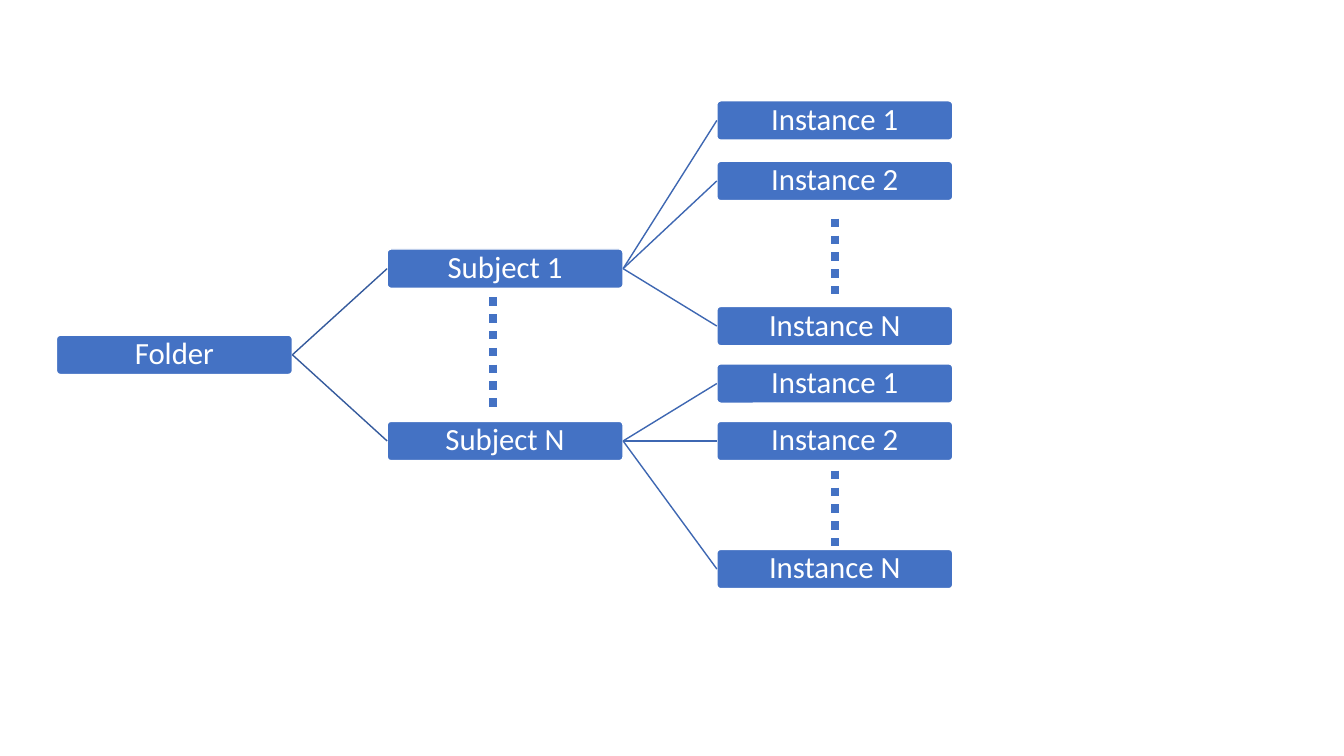
from dataclasses import dataclass

from lxml import etree
from pptx import Presentation
from pptx import util as u
from pptx.dml.color import RGBColor
from pptx.enum import dml, shapes, text
from pptx.oxml import ns


@dataclass(frozen=True)
class Theme:
    """Colours, type and line sizes of the deck."""
    fill: RGBColor = RGBColor(0x44, 0x72, 0xC4)
    paper: RGBColor = RGBColor(0xFF, 0xFF, 0xFF)
    folder_link: RGBColor = RGBColor(0x36, 0x5B, 0x9D)
    subject_link: RGBColor = RGBColor(0x3E, 0x67, 0xB2)
    font: str = "Calibri"
    size: u.Pt = u.Pt(22)
    thin: u.Pt = u.Pt(1)
    dots: u.Pt = u.Pt(6)


THEME = Theme()
NODE_WIDTH, NODE_HEIGHT = 2.34, 0.39
SUBJECT_LEFT, INSTANCE_LEFT = 3.28, 6.55
RIGHT_SITE, LEFT_SITE = 3, 1
SUBJECTS = [
    ("Subject 1", 1.47, (0, 0.6, 2.04)),
    ("Subject N", 3.18, (2.61, 3.18, 4.45)),
]
INSTANCES = ("Instance 1", "Instance 2", "Instance N")
ELLIPSES = [(4.33, 1.95, 3.08), (7.72, 1.17, 1.95), (7.72, 3.67, 4.45)]


def add_node(page, label, left, top):
    """Add one labelled rounded box."""
    node = page.shapes.add_shape(
        shapes.MSO_SHAPE.ROUNDED_RECTANGLE,
        u.Inches(left), u.Inches(top), u.Inches(NODE_WIDTH), u.Inches(NODE_HEIGHT))
    node.adjustments[0] = 0.1
    node.shadow.inherit = False
    node.fill.solid()
    node.fill.fore_color.rgb = THEME.fill
    node.line.color.rgb = THEME.paper
    node.line.width = THEME.thin
    frame = node.text_frame
    frame.word_wrap = True
    frame.vertical_anchor = text.MSO_ANCHOR.MIDDLE
    frame.margin_left = frame.margin_right = u.Inches(0.02)
    frame.margin_top = frame.margin_bottom = u.Inches(0.02)
    para = frame.paragraphs[0]
    para.alignment = text.PP_ALIGN.CENTER
    para.line_spacing = 0.9
    span = para.add_run()
    span.text = label
    span.font.name = THEME.font
    span.font.size = THEME.size
    span.font.color.rgb = THEME.paper
    return node


def add_line(page, start, end, color, width):
    """Add a straight connector without a shadow."""
    line = page.shapes.add_connector(shapes.MSO_CONNECTOR.STRAIGHT, *start, *end)
    line.line.color.rgb = color
    line.line.width = width
    etree.SubElement(line._element.spPr, ns.qn("a:effectLst"))
    return line


def link(page, parent, child, color):
    """Join the right side of a parent to the left side of its child."""
    start = (parent.left + parent.width, parent.top + parent.height // 2)
    end = (child.left, child.top + child.height // 2)
    line = add_line(page, start, end, color, THEME.thin)
    line.begin_connect(parent, RIGHT_SITE)
    line.end_connect(child, LEFT_SITE)


def add_ellipsis(page, x, top, bottom):
    """Add a dotted vertical line that stands for omitted nodes."""
    line = add_line(page, (u.Inches(x), u.Inches(top)),
                    (u.Inches(x), u.Inches(bottom)), THEME.fill, THEME.dots)
    line.line.dash_style = dml.MSO_LINE.ROUND_DOT


def build_tree(page, left, top):
    """Draw the folder, its subjects and their instances from a top left corner."""
    folder_top = sum(subject_top for _, subject_top, _ in SUBJECTS) / len(SUBJECTS)
    folder = add_node(page, "Folder", left, top + folder_top)
    for label, subject_top, instance_tops in SUBJECTS:
        subject = add_node(page, label, left + SUBJECT_LEFT, top + subject_top)
        link(page, folder, subject, THEME.folder_link)
        for name, instance_top in zip(INSTANCES, instance_tops):
            instance = add_node(page, name, left + INSTANCE_LEFT, top + instance_top)
            link(page, subject, instance, THEME.subject_link)
    for x, start, end in ELLIPSES:
        add_ellipsis(page, left + x, top + start, top + end)


def main():
    """Build and save the deck."""
    deck = Presentation()
    deck.slide_width, deck.slide_height = u.Inches(13.33), u.Inches(7.5)
    page = deck.slides.add_slide(deck.slide_layouts.get_by_name("Blank"))
    build_tree(page, 0.56, 1)
    deck.save("out.pptx")


main()
